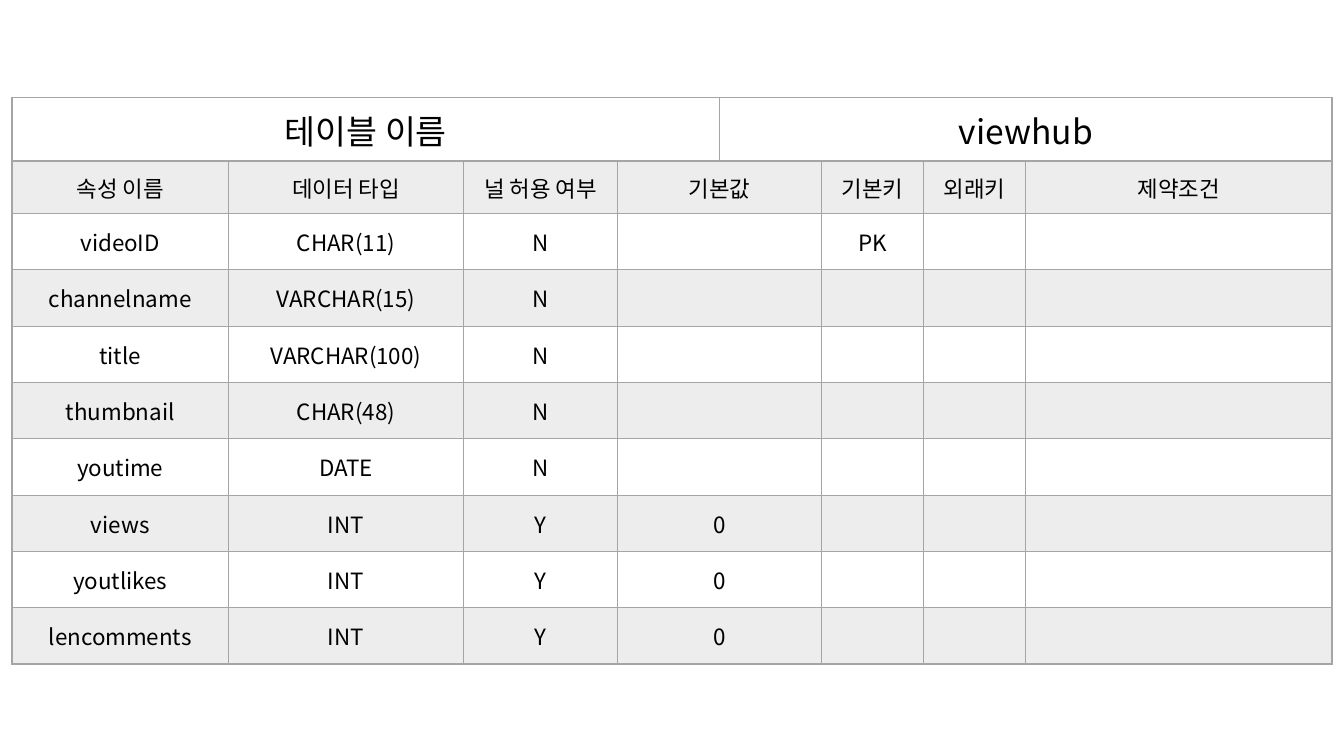
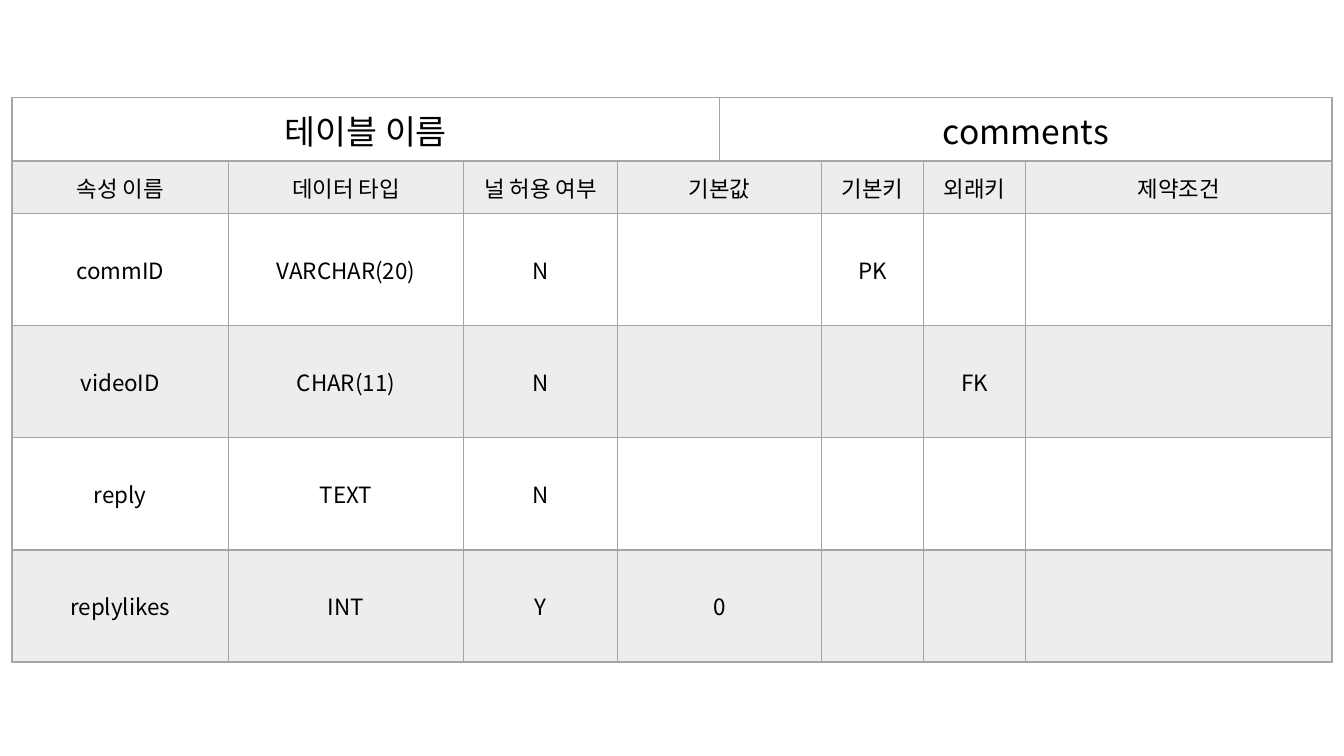
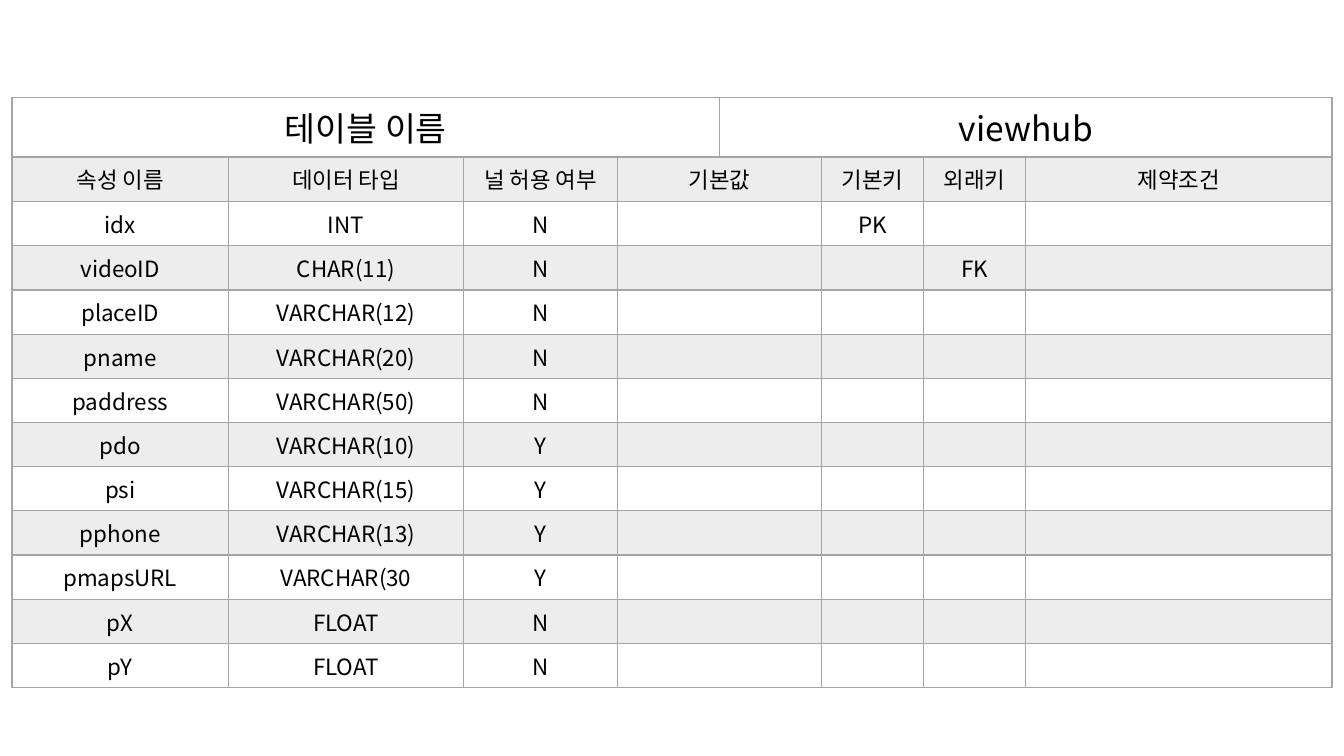
from lxml.etree import SubElement
from pptx import Presentation
from pptx.dml.color import RGBColor
from pptx.enum.text import MSO_ANCHOR, PP_ALIGN
from pptx.oxml.ns import qn
from pptx.util import Pt

FONT = "Noto Sans CJK KR"
INK = "000000"
GREY = "A5A5A5"
BAND_ALPHA = 20
LEFT, TOP, WIDTH = 8.6, 69.8, 943
COLUMN_WIDTHS = [154.6, 168, 110, 72.9, 72.9, 72.9, 72.9]
FIELD_COLUMNS = [0, 1, 2, 3, 5, 6, 7]
HEADINGS = ["속성 이름", "데이터 타입", "널 허용 여부", "기본값", "기본키", "외래키", "제약조건"]

SCHEMAS = [
    {
        "name": "viewhub", "height": 404.6, "name_height": 45.4, "heading_height": 37.4,
        "attributes": [
            ("videoID", "CHAR(11)", "N", "", "PK"),
            ("channelname", "VARCHAR(15)", "N"),
            ("title", "VARCHAR(100)", "N"),
            ("thumbnail", "CHAR(48)", "N"),
            ("youtime", "DATE", "N"),
            ("views", "INT", "Y", "0"),
            ("youtlikes", "INT", "Y", "0"),
            ("lencomments", "INT", "Y", "0"),
        ],
    },
    {
        "name": "comments", "height": 403.2, "name_height": 45.4, "heading_height": 37.4,
        "attributes": [
            ("commID", "VARCHAR(20)", "N", "", "PK"),
            ("videoID", "CHAR(11)", "N", "", "", "FK"),
            ("reply", "TEXT", "N"),
            ("replylikes", "INT", "Y", "0"),
        ],
    },
    {
        "name": "viewhub", "height": 421.4, "name_height": 42.2, "heading_height": 32.1,
        "attributes": [
            ("idx", "INT", "N", "", "PK"),
            ("videoID", "CHAR(11)", "N", "", "", "FK"),
            ("placeID", "VARCHAR(12)", "N"),
            ("pname", "VARCHAR(20)", "N"),
            ("paddress", "VARCHAR(50)", "N"),
            ("pdo", "VARCHAR(10)", "Y"),
            ("psi", "VARCHAR(15)", "Y"),
            ("pphone", "VARCHAR(13)", "Y"),
            ("pmapsURL", "VARCHAR(30", "Y"),
            ("pX", "FLOAT", "N"),
            ("pY", "FLOAT", "N"),
        ],
    },
]


def color(value):
    """Turn a hex string into a colour."""
    return RGBColor.from_string(value)


def write(cell, text, size=16, ink=INK, font=FONT):
    """Put one centred line of formatted text in a cell."""
    paragraph = cell.text_frame.paragraphs[0]
    paragraph.alignment = PP_ALIGN.CENTER
    run = paragraph.add_run()
    run.text = text
    run.font.size = Pt(size)
    run.font.name = font
    run.font.color.rgb = color(ink)
    SubElement(run.font._element, qn("a:ea"), typeface=font)


def draw_borders(cell, top=1, bottom=1):
    """Draw grey lines on the four sides of a cell."""
    properties = cell._tc.get_or_add_tcPr()
    for side, weight in (("L", 1), ("R", 1), ("T", top), ("B", bottom)):
        line = SubElement(properties, qn(f"a:ln{side}"), w=str(Pt(weight)))
        fill = SubElement(line, qn("a:solidFill"))
        SubElement(fill, qn("a:srgbClr"), val=GREY)


def shade(cell, banded):
    """Give a cell the translucent band or leave it clear."""
    if not banded:
        cell.fill.background()
        return
    cell.fill.solid()
    cell.fill.fore_color.rgb = color(GREY)
    tint = cell._tc.tcPr.find(f"{qn('a:solidFill')}/{qn('a:srgbClr')}")
    SubElement(tint, qn("a:alpha"), val=str(BAND_ALPHA * 1000))


def style_cell(cell, row):
    """Set the margins, borders and band of a cell by its row."""
    cell.margin_top = cell.margin_bottom = 0
    cell.vertical_anchor = MSO_ANCHOR.MIDDLE
    draw_borders(cell, top=2 if row == 1 else 1, bottom=2 if row == 0 else 1)
    shade(cell, banded=row % 2 == 1)


def add_schema(slide, schema, left, top, width):
    """Place the table that describes one database table."""
    attributes = schema["attributes"]
    height, name_height, heading_height = (
        schema[key] for key in ("height", "name_height", "heading_height"))
    column_widths = COLUMN_WIDTHS + [width - sum(COLUMN_WIDTHS)]
    attribute_height = (height - name_height - heading_height) / len(attributes)
    row_heights = [name_height, heading_height] + [attribute_height] * len(attributes)

    grid = slide.shapes.add_table(
        len(row_heights), len(column_widths), Pt(left), Pt(top), Pt(width), Pt(height)).table
    grid.first_row = grid.horz_banding = False
    for column, column_width in zip(grid.columns, column_widths):
        column.width = Pt(column_width)
    for number, row_height in enumerate(row_heights):
        grid.rows[number].height = Pt(row_height)
        for cell in grid.rows[number].cells:
            style_cell(cell, number)

    for start, label in ((0, "테이블 이름"), (4, schema["name"])):
        grid.cell(0, start).merge(grid.cell(0, start + 3))
        write(grid.cell(0, start), label, size=24)
    for number, fields in enumerate([HEADINGS] + attributes, start=1):
        grid.cell(number, 3).merge(grid.cell(number, 4))
        for column, field in zip(FIELD_COLUMNS, fields):
            if field:
                write(grid.cell(number, column), field)


def main():
    """Build one slide for each schema and save the deck."""
    deck = Presentation()
    deck.slide_width, deck.slide_height = Pt(960), Pt(540)
    for schema in SCHEMAS:
        slide = deck.slides.add_slide(deck.slide_layouts[6])
        add_schema(slide, schema, LEFT, TOP, WIDTH)
    deck.save("out.pptx")


if __name__ == "__main__":
    main()
